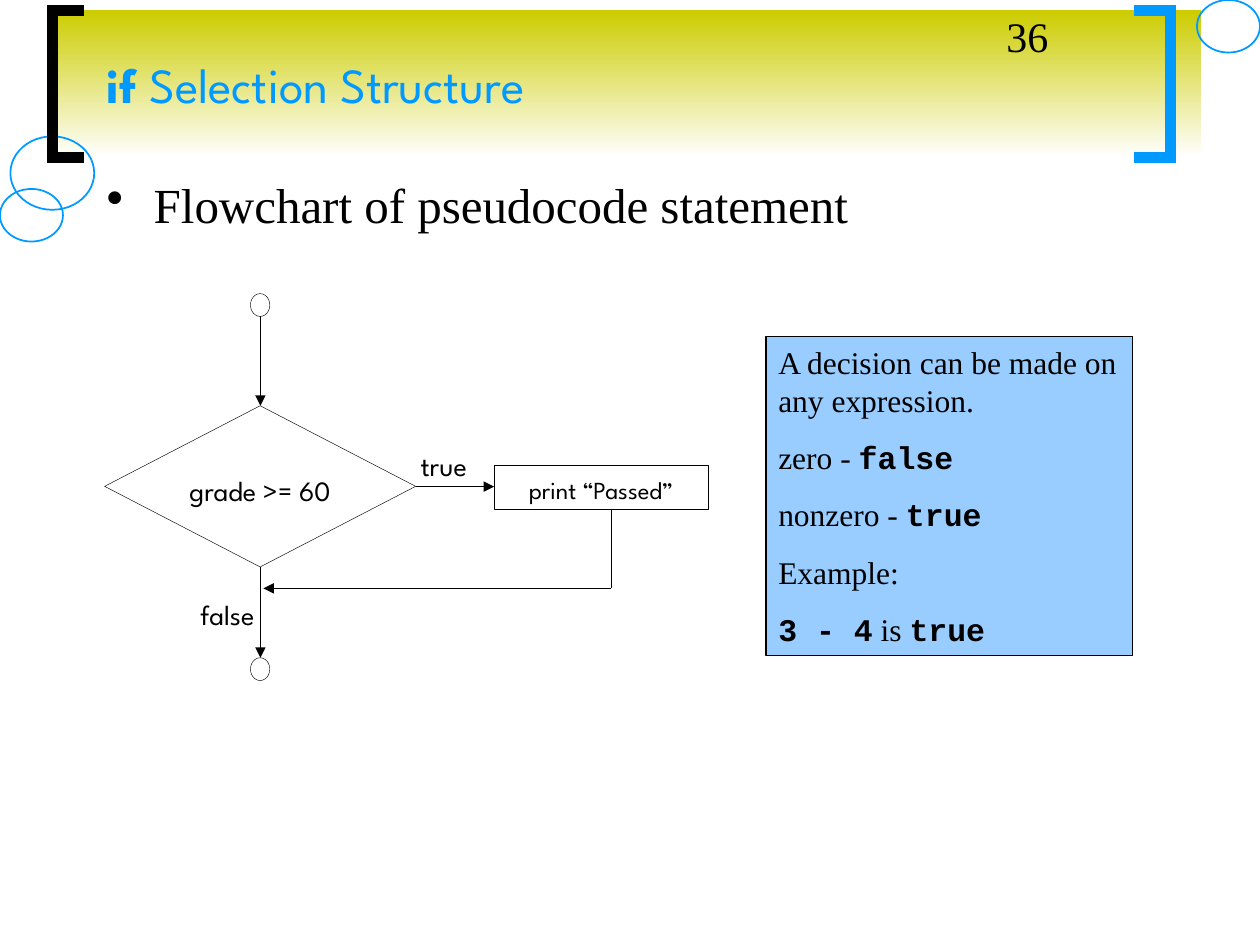
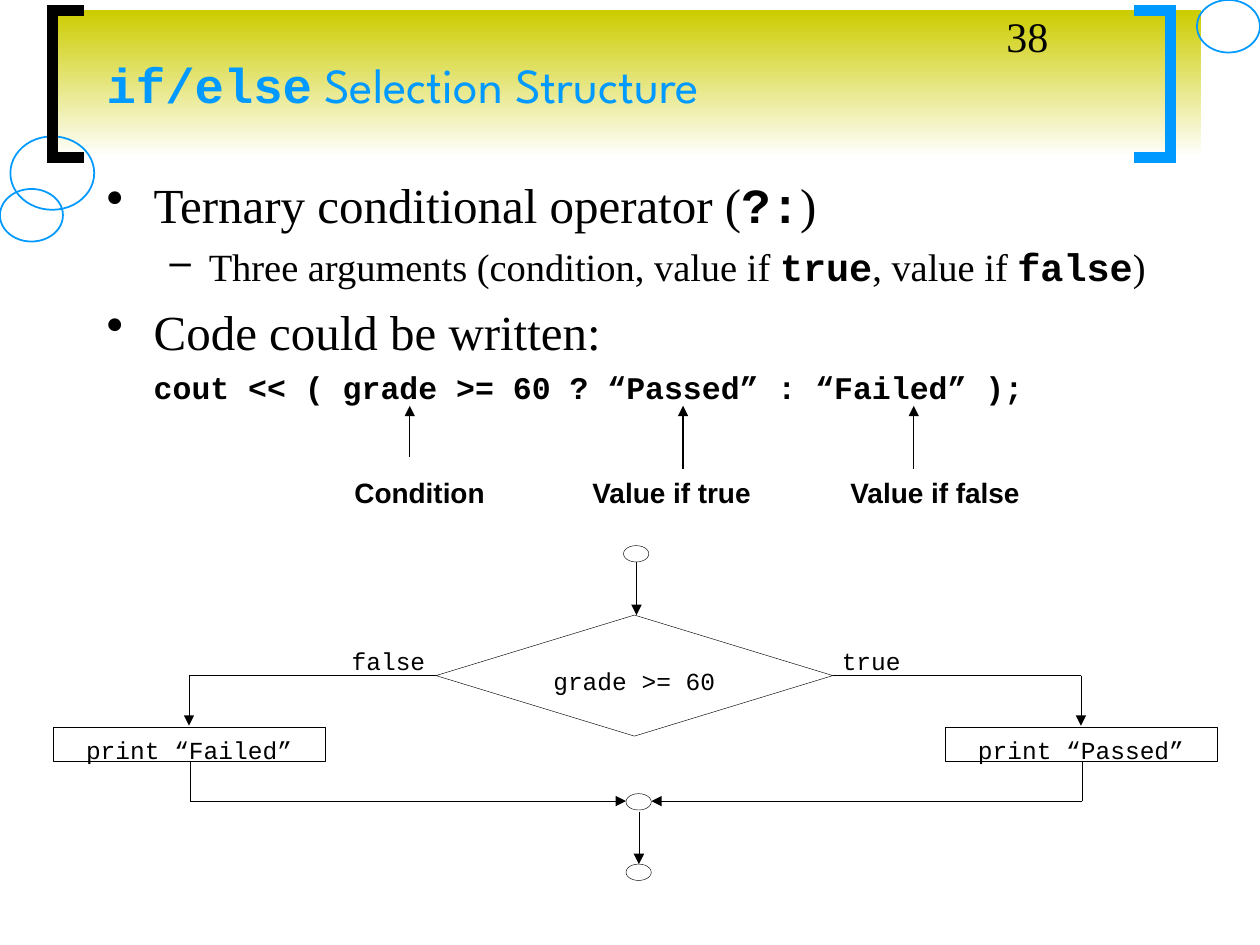
from dataclasses import dataclass
from itertools import pairwise
from lxml.etree import SubElement
from pptx import Presentation
from pptx.dml.color import RGBColor
from pptx.enum.shapes import MSO_CONNECTOR, MSO_SHAPE
from pptx.enum.text import MSO_ANCHOR, PP_ALIGN
from pptx.oxml.ns import qn
from pptx.util import Cm, Pt


@dataclass(frozen=True)
class TextStyle:
    size: float
    color: str = "000000"
    align: PP_ALIGN = PP_ALIGN.LEFT
    before: float = 0
    margin: float = 0
    hang: float = 0
    bullet: str = ""


@dataclass(frozen=True)
class Theme:
    black: str = "000000"
    white: str = "FFFFFF"
    blue: str = "0099FF"
    olive: str = "CCCC00"
    note_blue: str = "99CCFF"
    serif: str = "Times New Roman"
    display: str = "League Spartan"
    mono: str = "Courier New"
    sans: str = "Arial"
    thin: float = 0.25
    medium: float = 0.75
    title: TextStyle = TextStyle(28, "0099FF")
    number: TextStyle = TextStyle(24)
    topic: TextStyle = TextStyle(28, before=7, margin=0.95, hang=0.95, bullet="•")
    detail: TextStyle = TextStyle(22, before=5.5, margin=2.06, hang=0.79, bullet="–")
    code: TextStyle = TextStyle(18, before=4.5, margin=0.95)
    note: TextStyle = TextStyle(18, before=11.2)
    callout: TextStyle = TextStyle(16, align=PP_ALIGN.CENTER)
    label_large: TextStyle = TextStyle(16)
    label_small: TextStyle = TextStyle(14)
    node_large: TextStyle = TextStyle(16, align=PP_ALIGN.CENTER)
    node_small: TextStyle = TextStyle(14, align=PP_ALIGN.CENTER)


theme = Theme()


def draw(slide, preset, box, line=None, width=theme.thin, fill=None):
    """Add a preset shape, or a text box when preset is None."""
    lengths = [Cm(n) for n in box]
    if preset is None:
        return slide.shapes.add_textbox(*lengths)
    shape = slide.shapes.add_shape(preset, *lengths)
    shape.shadow.inherit = False
    if fill:
        shape.fill.solid()
        shape.fill.fore_color.rgb = RGBColor.from_string(fill)
    else:
        shape.fill.background()
    if line:
        shape.line.color.rgb = RGBColor.from_string(line)
        shape.line.width = Pt(width)
    else:
        shape.line.fill.background()
    return shape


def write(shape, lines, side=0.25, top=0.13, anchor=MSO_ANCHOR.TOP):
    """Fill a shape with (style, runs) lines; a run is (text, font, bold)."""
    frame = shape.text_frame
    frame.word_wrap = True
    frame.vertical_anchor = anchor
    frame.margin_left = frame.margin_right = Cm(side)
    frame.margin_top, frame.margin_bottom = Cm(top), Cm(min(top, 0.13))
    for index, (style, runs) in enumerate(lines):
        paragraph = frame.add_paragraph() if index else frame.paragraphs[0]
        properties = paragraph._p.get_or_add_pPr()
        properties.set("marL", str(Cm(style.margin)))
        properties.set("indent", str(-Cm(style.hang)))
        if style.bullet:
            bullet_color = SubElement(properties, qn("a:buClr"))
            SubElement(bullet_color, qn("a:srgbClr"), val=theme.black)
            SubElement(properties, qn("a:buChar"), char=style.bullet)
        paragraph.alignment = style.align
        if index:
            paragraph.space_before = Pt(style.before)
        for text, font, bold in runs:
            run = paragraph.add_run()
            run.text = text
            run.font.name = font
            run.font.bold = bold
            run.font.size = Pt(style.size)
            run.font.color.rgb = RGBColor.from_string(style.color)


# Content: boxes are left, top, width, height in centimetres
if_slide = dict(
    number="36",
    title=[("if ", theme.display, True), ("Selection Structure", theme.display, False)],
    body=[(theme.topic, [("Flowchart of pseudocode statement", theme.serif, False)])],
    font=theme.display,
    label_style=theme.label_large,
    flows=[
        [(5.25, 6.38), (5.25, 8.18)],
        [(5.25, 11.43), (5.25, 13.26)],
        [(8.38, 9.81), (9.96, 9.81)],
        [(12.32, 10.27), (12.32, 11.86), (5.31, 11.86)],
    ],
    terminals=[(5.05, 5.92, 0.39, 0.46), (5.05, 13.26, 0.39, 0.46)],
    nodes=[
        (MSO_SHAPE.DIAMOND, (2.11, 8.18, 6.27, 3.25), "grade >= 60", theme.node_large, 0.56),
        (MSO_SHAPE.RECTANGLE, (9.96, 9.37, 4.32, 0.9), "print “Passed”", theme.node_small, 0.2),
    ],
    labels=[("true", (8.48, 9.04, 1.4, 0.91)), ("false", (4.04, 12.04, 1.7, 0.9))],
    note=[
        [("A decision can be made on any expression.", theme.serif, False)],
        [("zero - ", theme.serif, False), ("false", theme.mono, True)],
        [("nonzero - ", theme.serif, False), ("true", theme.mono, True)],
        [("Example:", theme.serif, False)],
        [("3 - 4", theme.mono, True), (" is ", theme.serif, False), ("true", theme.mono, True)],
    ],
    callouts=[],
)

if_else_slide = dict(
    number="38",
    title=[("if/else", theme.mono, True), (" Selection Structure", theme.display, False)],
    body=[
        (theme.topic, [("Ternary conditional operator (", theme.serif, False),
                       ("?:", theme.mono, True), (")", theme.serif, False)]),
        (theme.detail, [("Three arguments (condition, value if ", theme.serif, False),
                        ("true", theme.mono, True), (", value if ", theme.serif, False),
                        ("false", theme.mono, True), (")", theme.serif, False)]),
        (theme.topic, [("Code could be written:", theme.serif, False)]),
        (theme.code, [("cout << ( grade >= 60 ? “Passed” : “Failed” );", theme.mono, True)]),
    ],
    font=theme.mono,
    label_style=theme.label_small,
    flows=[
        [(12.83, 11.33), (12.83, 12.4)],
        [(8.79, 13.62), (3.81, 13.62), (3.81, 14.63)],
        [(16.79, 13.62), (21.79, 13.62), (21.79, 14.63)],
        [(3.84, 15.34), (3.84, 16.15), (12.62, 16.15)],
        [(21.82, 15.34), (21.82, 16.15), (13.13, 16.15)],
        [(12.88, 16.36), (12.88, 17.42)],
    ],
    terminals=[(12.57, 11, 0.51, 0.33), (12.62, 16, 0.51, 0.33), (12.62, 17.42, 0.51, 0.33)],
    nodes=[
        (MSO_SHAPE.DIAMOND, (8.79, 12.4, 8, 2.44), "grade >= 60", theme.node_small, 0.41),
        (MSO_SHAPE.RECTANGLE, (1.07, 14.66, 5.49, 0.68), "print “Failed”", theme.node_small, 0.15),
        (MSO_SHAPE.RECTANGLE, (19.05, 14.66, 5.49, 0.68), "print “Passed”", theme.node_small, 0.15),
    ],
    labels=[("false", (7.09, 13.03, 2.16, 0.66)), ("true", (16.97, 13.03, 1.78, 0.66))],
    note=[],
    # text, left of the text, x and start of its arrow
    callouts=[
        ("Condition", 5.92, 8.26, 9.22),
        ("Value if true", 11, 13.77, 9.45),
        ("Value if false", 16.31, 18.42, 9.45),
    ],
)

deck = Presentation()
deck.slide_width, deck.slide_height = Cm(25.4), Cm(19.05)

for content in (if_slide, if_else_slide):
    slide = deck.slides.add_slide(deck.slide_layouts[6])

    # Title band, fading downwards to white
    band = draw(slide, MSO_SHAPE.RECTANGLE, (1.06, 0.21, 23.16, 2.96))
    band.fill.gradient()
    band.fill.gradient_angle = 90
    for stop, color, position in zip(band.fill.gradient_stops, (theme.white, theme.olive), (0, 1)):
        stop.color.rgb = RGBColor.from_string(color)
        stop.position = position

    # Corner rings and title brackets
    for ring in ((0.21, 2.75, 1.69, 1.48), (0, 3.81, 1.27, 1.06), (24.13, 0, 1.27, 1.06)):
        draw(slide, MSO_SHAPE.OVAL, ring, theme.blue, 1)
    for tip, spine, color in ((1.69, 1.06, theme.black), (22.86, 23.6, theme.blue)):
        outline = slide.shapes.build_freeform(Cm(tip), Cm(0.21))
        outline.add_line_segments(
            [(Cm(spine), Cm(0.21)), (Cm(spine), Cm(3.18)), (Cm(tip), Cm(3.18))], close=False)
        bracket = outline.convert_to_shape()
        bracket.shadow.inherit = False
        bracket.fill.background()
        bracket.line.color.rgb = RGBColor.from_string(color)
        bracket.line.width = Pt(6)
        SubElement(bracket.line._get_or_add_ln(), qn("a:miter"), lim="800000")

    # Title, body and slide number
    write(draw(slide, None, (1.9, 0.21, 21.59, 2.96)), [(theme.title, content["title"])],
          anchor=MSO_ANCHOR.MIDDLE)
    write(draw(slide, None, (1.9, 3.39, 21.59, 14.6)), content["body"])
    write(draw(slide, None, (20.04, 0.08, 5.28, 1.27)),
          [(theme.number, [(content["number"], theme.serif, False)])])

    # Flowchart nodes
    for terminal in content["terminals"]:
        draw(slide, MSO_SHAPE.OVAL, terminal, theme.black)
    for preset, box, text, style, top in content["nodes"]:
        node = draw(slide, preset, box, theme.black, fill=theme.white)
        write(node, [(style, [(text, content["font"], False)])], side=0, top=top)

    # Branch labels
    for text, box in content["labels"]:
        write(draw(slide, None, box),
              [(content["label_style"], [(text, content["font"], False)])], side=0, top=0)

    # Callouts under the code line
    for text, left, _, _ in content["callouts"]:
        write(draw(slide, None, (left, 9.45, 5.08, 0.94)),
              [(theme.callout, [(text, theme.sans, True)])])

    # Arrows: the last segment of each route carries the head
    routes = [(theme.thin, points) for points in content["flows"]]
    routes += [(theme.medium, [(x, start), (x, 8.18)]) for _, _, x, start in content["callouts"]]
    for width, points in routes:
        for begin, end in pairwise(points):
            segment = slide.shapes.add_connector(
                MSO_CONNECTOR.STRAIGHT, *[Cm(n) for n in begin + end])
            segment.line.color.rgb = RGBColor.from_string(theme.black)
            segment.line.width = Pt(width)
            if end == points[-1]:
                SubElement(segment.line._get_or_add_ln(), qn("a:tailEnd"), type="triangle")
            SubElement(segment._element.spPr, qn("a:effectLst"))

    # Side note
    if content["note"]:
        note = draw(slide, MSO_SHAPE.RECTANGLE, (15.44, 6.78, 7.39, 6.43),
                    theme.black, theme.medium, theme.note_blue)
        write(note, [(theme.note, runs) for runs in content["note"]])

deck.save("out.pptx")
